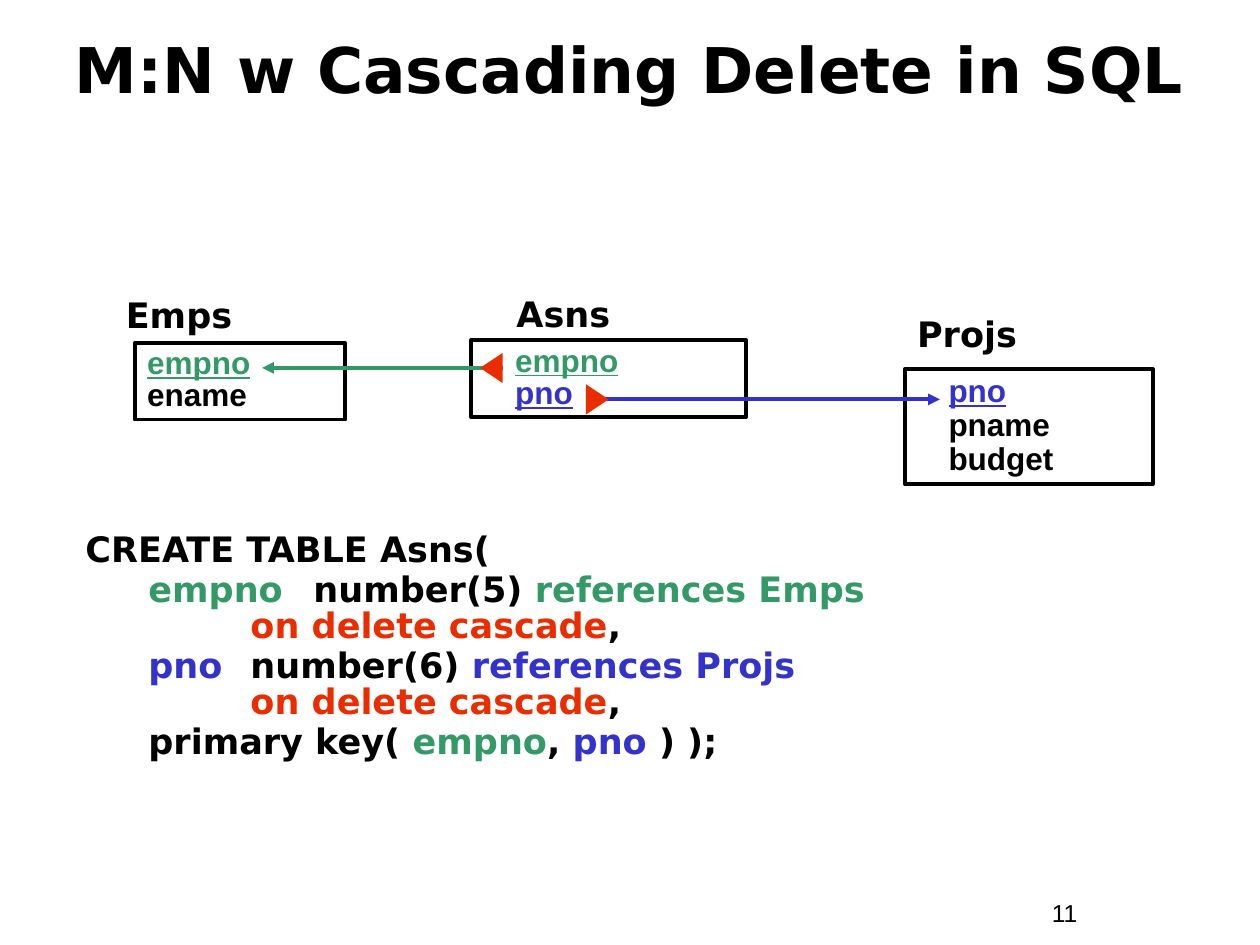
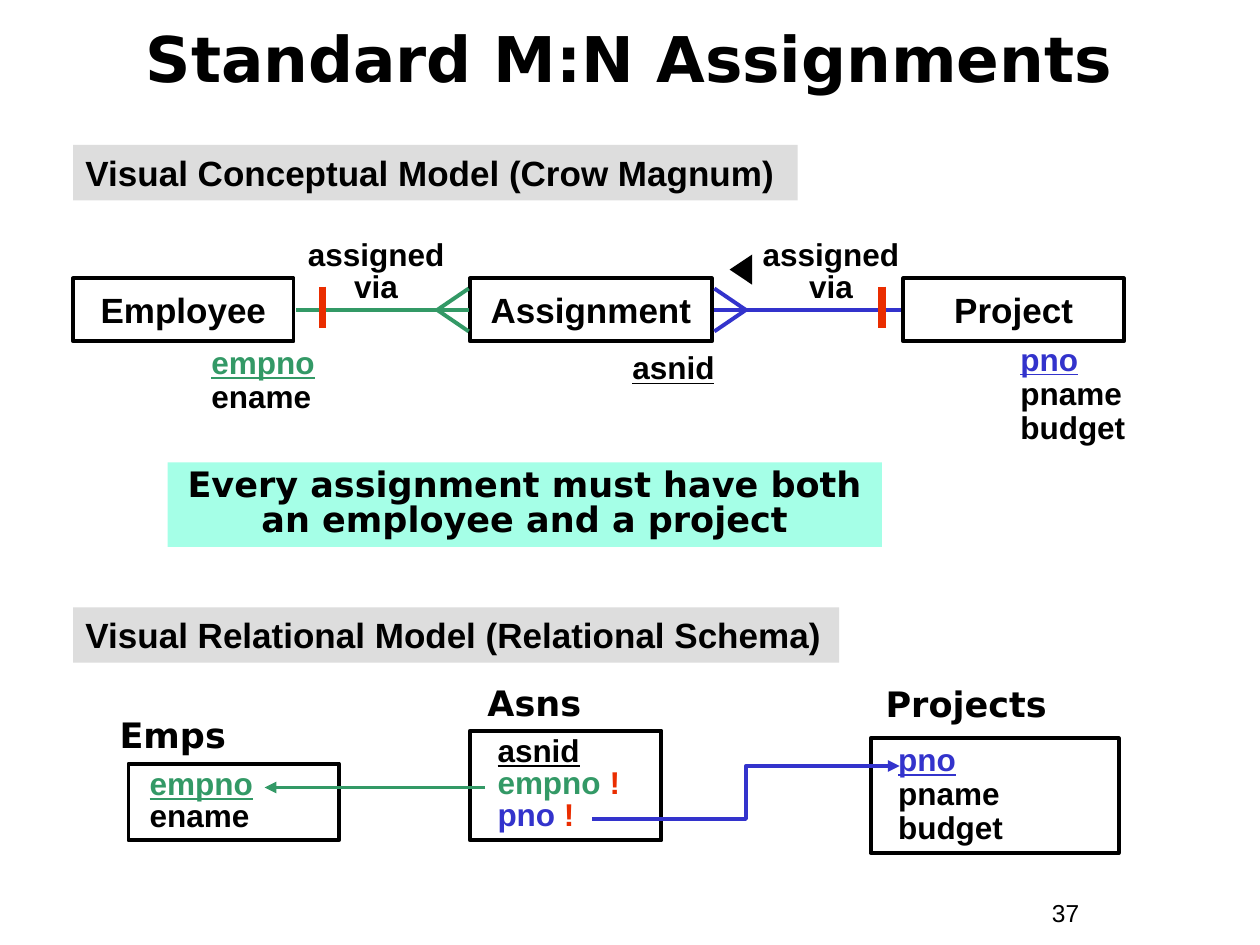
from dataclasses import dataclass

from lxml import etree
from pptx import Presentation
from pptx.dml.color import RGBColor
from pptx.enum.shapes import MSO_CONNECTOR, MSO_SHAPE
from pptx.enum.text import MSO_ANCHOR, PP_ALIGN
from pptx.oxml.ns import qn
from pptx.util import Inches, Pt

CENTER, LEFT = PP_ALIGN.CENTER, PP_ALIGN.LEFT
MIDDLE, TOP = MSO_ANCHOR.MIDDLE, MSO_ANCHOR.TOP
STRAIGHT, ELBOW = MSO_CONNECTOR.STRAIGHT, MSO_CONNECTOR.ELBOW
RECTANGLE, TRIANGLE = MSO_SHAPE.RECTANGLE, MSO_SHAPE.ISOSCELES_TRIANGLE
COLUMNS, ROWS, CELL = 100, 75, Inches(0.1)


@dataclass(frozen=True)
class Theme:
    ink: str = "000000"
    employee: str = "339966"
    project: str = "3333CC"
    alert: str = "EA2D00"
    band: str = "DDDDDD"
    note: str = "A5FFE7"
    plain: str = "Arial"
    display: str = "DejaVu Sans"
    title_size: int = 36
    heading_size: int = 20
    body_size: int = 18
    number_size: int = 14
    line: float = 2.25
    bar: float = 4.5


THEME = Theme()
TITLE = {"name": THEME.display, "size": Pt(THEME.title_size), "bold": True}
NAME = {"name": THEME.display, "size": Pt(THEME.heading_size), "bold": True}
HEADING = {"name": THEME.plain, "size": Pt(THEME.heading_size), "bold": True}
BODY = {"name": THEME.plain, "size": Pt(THEME.body_size), "bold": True}
NUMBER = {"name": THEME.plain, "size": Pt(THEME.number_size), "bold": False}

TIGHT, LOOSE = 0.85, 0.9


@dataclass(frozen=True)
class Box:
    left: float
    top: float
    width: float
    height: float

    def inner(self, left, top, width, height):
        return Box(self.left + left, self.top + top, width, height)

    def point(self, across, down):
        return self.left + across, self.top + down

    def lengths(self):
        return [grid(cells) for cells in
                (self.left, self.top, self.width, self.height)]


def grid(cells):
    return round(cells * CELL)


def span(text, color=THEME.ink, underline=False):
    return text, color, underline


EMPLOYEE_ROWS = [[span("empno", THEME.employee, True)], [span("ename")]]
PROJECT_ROWS = [[span("pno", THEME.project, True)],
                [span("pname")], [span("budget")]]


def apply(target, values):
    for name, value in values.items():
        setattr(target, name, value)


def add_spans(para, spans, font):
    for text, color, underline in spans:
        for index, piece in enumerate(text.split("\n")):
            if index:
                para.add_line_break()
            run = para.add_run()
            run.text = piece
            apply(run.font, font | {"underline": underline})
            run.font.color.rgb = RGBColor.from_string(color)


def write(shape, lines, font, align=LEFT, spacing=1.0, anchor=TOP,
          indent=0, before=0):
    frame = shape.text_frame
    apply(frame, {"word_wrap": True, "vertical_anchor": anchor})
    for index, spans in enumerate(lines):
        para = frame.add_paragraph() if index else frame.paragraphs[0]
        apply(para, {"alignment": align, "line_spacing": spacing,
                     "space_before": Pt(before if index else 0)})
        set_indent(para, indent)
        add_spans(para, spans, font)


def set_indent(para, margin, first=0, tabs=()):
    properties = para._p.get_or_add_pPr()
    properties.set("marL", str(grid(margin)))
    properties.set("indent", str(grid(first)))
    if tabs:
        stops = etree.SubElement(properties, qn("a:tabLst"))
        for tab in tabs:
            etree.SubElement(stops, qn("a:tab"), pos=str(grid(tab)), algn="l")


def add_text(page, box, lines, font, **layout):
    shape = page.shapes.add_textbox(*box.lengths())
    write(shape, lines, font, **layout)
    return shape


def add_panel(page, box, fill=None, outline=None, kind=RECTANGLE):
    shape = page.shapes.add_shape(kind, *box.lengths())
    shape.shadow.inherit = False
    if fill:
        shape.fill.solid()
        shape.fill.fore_color.rgb = RGBColor.from_string(fill)
    else:
        shape.fill.background()
    if outline:
        shape.line.color.rgb = RGBColor.from_string(outline)
        shape.line.width = Pt(THEME.line)
    else:
        shape.line.fill.background()
    return shape


def add_marker(page, box, color, rotation):
    add_panel(page, box, color, kind=TRIANGLE).rotation = rotation


def add_line(page, start, end, color, kind=STRAIGHT, width=THEME.line,
             arrow=False):
    ends = [grid(cells) for cells in (*start, *end)]
    connector = page.shapes.add_connector(kind, *ends)
    connector.line.color.rgb = RGBColor.from_string(color)
    connector.line.width = Pt(width)
    if arrow:
        etree.SubElement(connector.line._get_or_add_ln(),
                         qn("a:tailEnd"), type="triangle")
    etree.SubElement(connector._element.spPr, qn("a:effectLst"))


def add_page(deck, title, title_height, number):
    page = deck.slides.add_slide(deck.slide_layouts[6])
    add_text(page, Box(82.5, 70.8, 9.2, 3.4), [[span(number)]], NUMBER)
    add_text(page, Box(3.3, 0.8, 93.3, title_height), [[span(title)]], TITLE,
             align=CENTER, anchor=MIDDLE)
    return page


def add_schema_table(page, box, name, shift, rows, indent, spacing):
    add_text(page, box.inner(*shift, 21.5, 4.4), [[span(name)]], NAME)
    write(add_panel(page, box, outline=THEME.ink), rows, BODY,
          indent=indent, spacing=spacing)


def cascade_schema(page, box):
    assignment_rows = [[span("empno", THEME.employee, True)],
                       [span("pno", THEME.project, True)]]
    add_schema_table(page, box.inner(28.4, 4.3, 21.8, 6.1), "Asns",
                     (2.6, -4.3), assignment_rows, 2.5, TIGHT)
    add_schema_table(page, box.inner(62.8, 6.6, 19.7, 9.1), "Projs",
                     (0, -5), PROJECT_ROWS, 2.5, LOOSE)
    add_schema_table(page, box.inner(1.7, 4.5, 16.7, 6.1), "Emps",
                     (-1.7, -4.4), EMPLOYEE_ROWS, 0, TIGHT)
    add_line(page, box.point(30.9, 6.5), box.point(11.8, 6.5),
             THEME.employee, arrow=True)
    add_line(page, box.point(37.5, 9), box.point(65.6, 9),
             THEME.project, arrow=True)
    add_marker(page, box.inner(28.8, 5.6, 2.4, 1.8), THEME.alert, 270)
    add_marker(page, box.inner(37.2, 8.1, 2.4, 1.8), THEME.alert, 90)


def foreign_key(column, digits, table, color):
    return [span(f"{column}\t", color), span(f"number({digits}) "),
            span(f"references {table}\n\t", color),
            span("on delete cascade", THEME.alert), span(",")]


def create_statement(page, box):
    lines = [
        [span("CREATE TABLE Asns(")],
        foreign_key("empno", 5, "Emps", THEME.employee),
        foreign_key("pno", 6, "Projs", THEME.project),
        [span("primary key( "), span("empno", THEME.employee), span(", "),
         span("pno", THEME.project), span(" ) );")],
    ]
    shape = add_text(page, box, lines, NAME, spacing=TIGHT, before=2.5)
    heading, *columns = shape.text_frame.paragraphs
    set_indent(heading, 3.8, -3.8)
    for para in columns:
        set_indent(para, 8.1, -3.1, tabs=(10, 32))


def add_relationship(page, box, one, many, bar, label, color):
    middle, spread = 6, 1.7
    foot = many + (2.5 if one > many else -2.5)
    add_line(page, box.point(one, middle), box.point(many, middle), color)
    for toe in (middle - spread, middle + spread):
        add_line(page, box.point(foot, middle), box.point(many, toe), color)
    add_line(page, box.point(bar, 4.15), box.point(bar, 7.45),
             THEME.alert, width=THEME.bar)
    add_text(page, box.inner(label, 0, 13.3, 6.1), [[span("assigned via")]],
             BODY, align=CENTER, spacing=TIGHT)


def conceptual_model(page, box):
    entities = [("Employee", 0, 17.5), ("Assignment", 31.5, 19.2),
                ("Project", 65.9, 17.5)]
    for name, left, width in entities:
        panel = add_panel(page, box.inner(left, 3.5, width, 5),
                          outline=THEME.ink)
        write(panel, [[span(name)]], HEADING, align=CENTER, anchor=MIDDLE)
    attributes = [((10, 8.5, 15, 6.4), EMPLOYEE_ROWS),
                  ((43.4, 8.9, 17.5, 3.7), [[span("asnid", underline=True)]]),
                  ((74.2, 8.2, 15.8, 9.1), PROJECT_ROWS)]
    for place, rows in attributes:
        add_text(page, box.inner(*place), rows, BODY, spacing=LOOSE)
    add_relationship(page, box, 17.7, 31.4, 19.8, 17.4, THEME.employee)
    add_relationship(page, box, 65.7, 50.9, 64.2, 53.5, THEME.project)
    add_marker(page, box.inner(51.8, 1.9, 2.4, 1.8), THEME.ink, 270)


def relational_model(page, box):
    required = span("!", THEME.alert)
    assignment_rows = [[span("asnid", underline=True)],
                       [span("empno ", THEME.employee), required],
                       [span("pno ", THEME.project), required]]
    add_schema_table(page, box.inner(28.8, 4.4, 15.2, 8.7), "Asns",
                     (0.4, -4.4), assignment_rows, 1.2, TIGHT)
    add_schema_table(page, box.inner(60.6, 5, 19.7, 9.1), "Projects",
                     (0.2, -4.9), PROJECT_ROWS, 1.2, LOOSE)
    add_schema_table(page, box.inner(1.7, 7, 16.7, 6.1), "Emps",
                     (-1.7, -4.5), EMPLOYEE_ROWS, 0.7, TIGHT)
    add_line(page, box.point(30, 8.9), box.point(12.5, 8.9),
             THEME.employee, arrow=True)
    add_line(page, box.point(38.5, 11.4), box.point(62.9, 7.2),
             THEME.project, kind=ELBOW, arrow=True)


def add_band(page, box, text, fill=THEME.band, font=HEADING, **layout):
    write(add_panel(page, box, fill), [[span(text)]], font, **layout)


def cascade_page(deck):
    page = add_page(deck, "M:N w Cascading Delete in SQL", 9.2, "11")
    cascade_schema(page, Box(9, 22.7, 82.5, 15.7))
    create_statement(page, Box(5.8, 41.9, 86.7, 19.1))


def assignments_page(deck):
    page = add_page(deck, "Standard M:N Assignments", 7.5, "37")
    conceptual_model(page, Box(5.8, 18.6, 83.4, 17.3))
    relational_model(page, Box(8.5, 53.6, 80.3, 14.1))
    add_band(page, Box(5.8, 11.5, 57.5, 4.4),
             "Visual Conceptual Model (Crow Magnum)")
    add_band(page, Box(5.8, 48.2, 60.8, 4.4),
             "Visual Relational Model (Relational Schema)")
    add_band(page, Box(13.3, 36.7, 56.7, 6.7),
             "Every assignment must have both an employee and a project",
             THEME.note, NAME, align=CENTER, spacing=TIGHT)


def main():
    deck = Presentation()
    apply(deck, {"slide_width": grid(COLUMNS), "slide_height": grid(ROWS)})
    cascade_page(deck)
    assignments_page(deck)
    deck.save("out.pptx")


if __name__ == "__main__":
    main()
